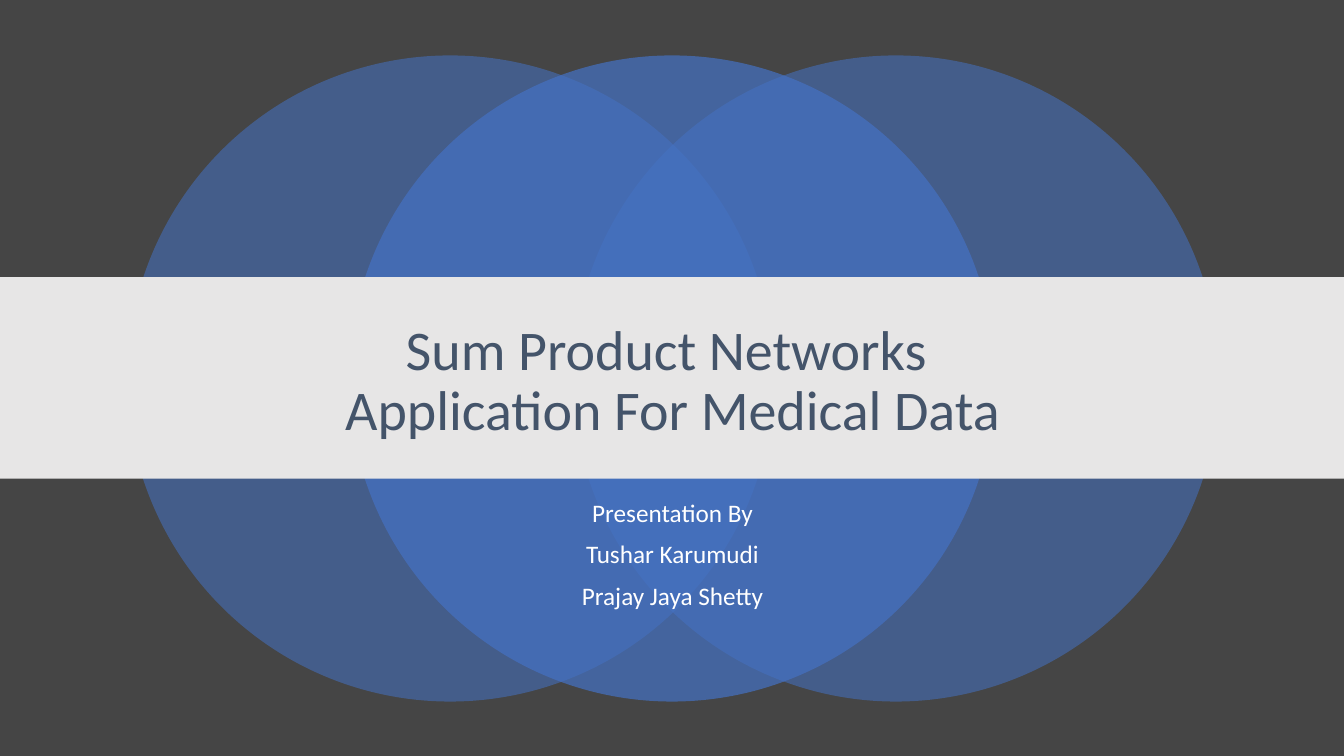
"""Build the title slide with three overlapping circles behind a banner."""
from dataclasses import dataclass

from lxml import etree
from pptx import Presentation
from pptx.dml.color import RGBColor
from pptx.enum import shapes, text
from pptx.oxml import ns
from pptx.util import Inches, Length, Pt


@dataclass(frozen=True)
class Theme:
    background: str = "454545"
    circle: str = "4472C4"
    banner: str = "E7E6E6"
    title: str = "44546A"
    subtitle: str = "FFFFFF"
    font: str = "Calibri"
    title_size: int = 40
    subtitle_size: int = 18


@dataclass(frozen=True)
class Box:
    left: float
    top: float
    width: float
    height: float

    def lengths(self) -> tuple[Length, ...]:
        return tuple(Inches(n) for n in (self.left, self.top, self.width, self.height))


@dataclass(frozen=True)
class Circle:
    left: float
    opacity: int


@dataclass(frozen=True)
class TextBlock:
    box: Box
    paragraphs: tuple[str, ...]
    size: int
    color: str
    anchor: text.MSO_ANCHOR
    space_before: int = 0


THEME = Theme()
SLIDE_WIDTH, SLIDE_HEIGHT = 13.33, 7.5
DIAMETER, CIRCLE_TOP = 6.41, 0.55
CIRCLES = (Circle(1.26, 55), Circle(5.68, 55), Circle(3.46, 70))
BANNER = Box(0, 2.75, SLIDE_WIDTH, 2)
SUBTITLE = TextBlock(
    Box(1.67, 4.92, 10, 1.42),
    ("Presentation By", "Tushar Karumudi", "Prajay Jaya Shetty"),
    THEME.subtitle_size, THEME.subtitle, text.MSO_ANCHOR.TOP, 10,
)
TITLE = TextBlock(
    Box(1.67, 3.04, 10, 1.51),
    ("Sum Product Networks \vApplication For Medical Data",),
    THEME.title_size, THEME.title, text.MSO_ANCHOR.MIDDLE,
)


def add_filled(slide, kind: shapes.MSO_SHAPE, box: Box, color: str, opacity: int = 100) -> None:
    shape = slide.shapes.add_shape(kind, *box.lengths())
    shape.shadow.inherit = False
    shape.line.fill.background()
    shape.fill.solid()
    shape.fill.fore_color.rgb = RGBColor.from_string(color)
    if opacity < 100:
        color_element = shape.fill._xPr.find(f".//{ns.qn('a:srgbClr')}")
        etree.SubElement(color_element, ns.qn("a:alpha"), val=str(opacity * 1000))


def add_text(slide, block: TextBlock) -> None:
    text_frame = slide.shapes.add_textbox(*block.box.lengths()).text_frame
    text_frame.word_wrap = True
    text_frame.vertical_anchor = block.anchor
    text_frame.text = "\n".join(block.paragraphs)
    for paragraph in text_frame.paragraphs:
        paragraph.alignment = text.PP_ALIGN.CENTER
        paragraph.line_spacing = 0.9
        paragraph.space_before = Pt(block.space_before)
        for run in paragraph.runs:
            run.font.name = THEME.font
            run.font.size = Pt(block.size)
            run.font.color.rgb = RGBColor.from_string(block.color)


def main() -> None:
    presentation = Presentation()
    presentation.slide_width = Inches(SLIDE_WIDTH)
    presentation.slide_height = Inches(SLIDE_HEIGHT)
    slide = presentation.slides.add_slide(presentation.slide_layouts[6])
    slide.background.fill.solid()
    slide.background.fill.fore_color.rgb = RGBColor.from_string(THEME.background)
    for circle in CIRCLES:
        box = Box(circle.left, CIRCLE_TOP, DIAMETER, DIAMETER)
        add_filled(slide, shapes.MSO_SHAPE.OVAL, box, THEME.circle, circle.opacity)
    add_text(slide, SUBTITLE)
    add_filled(slide, shapes.MSO_SHAPE.RECTANGLE, BANNER, THEME.banner)
    add_text(slide, TITLE)
    presentation.save("out.pptx")


main()
